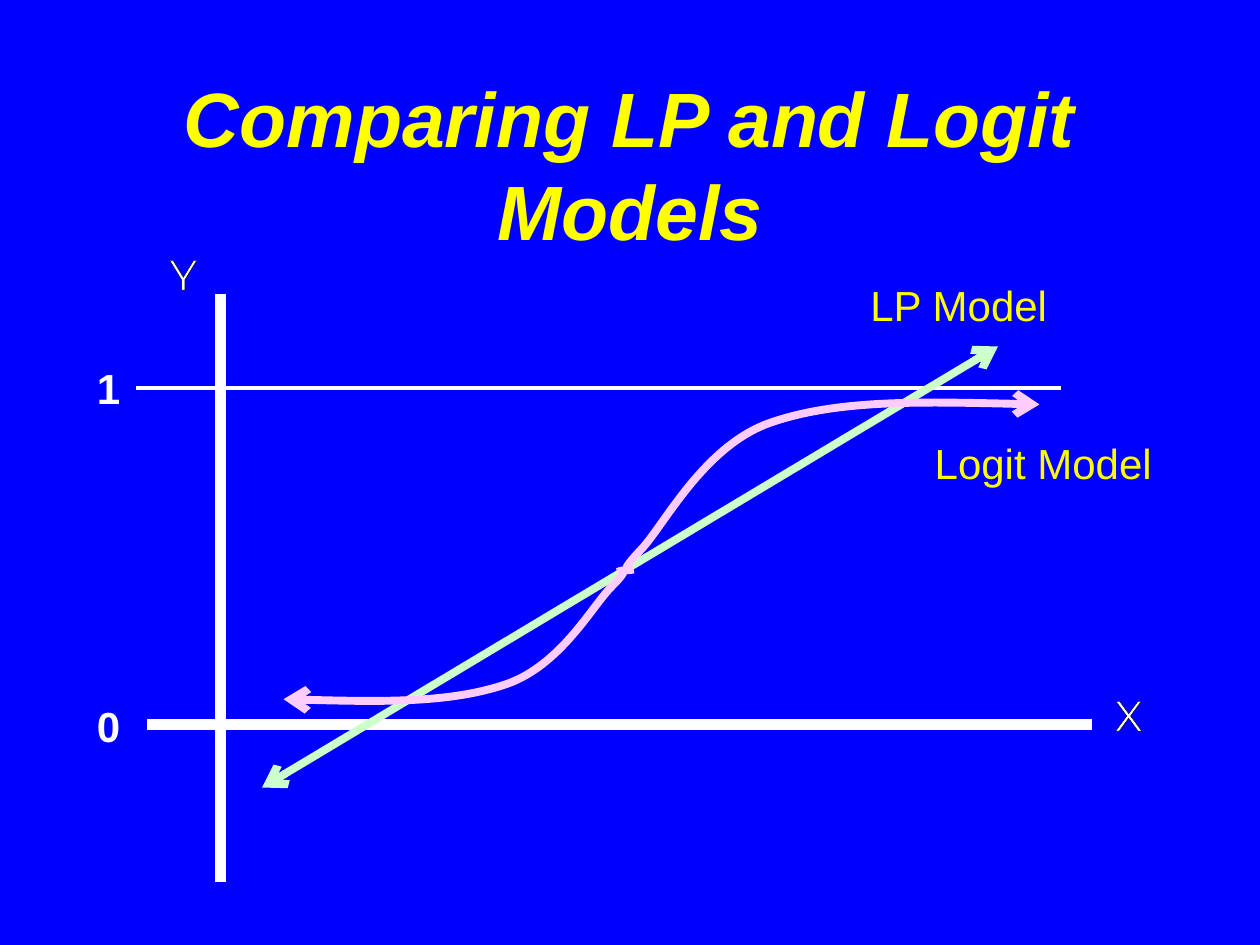
from dataclasses import dataclass

from lxml import etree
from pptx import Presentation
from pptx.dml.color import RGBColor
from pptx.enum.shapes import MSO_CONNECTOR
from pptx.enum.text import MSO_ANCHOR, MSO_AUTO_SIZE, PP_ALIGN
from pptx.oxml.ns import qn
from pptx.util import Inches, Pt

STRAIGHT = MSO_CONNECTOR.STRAIGHT
MIDDLE = MSO_ANCHOR.MIDDLE
CENTER = PP_ALIGN.CENTER
GROW = MSO_AUTO_SIZE.SHAPE_TO_FIT_TEXT
NO_FIT = MSO_AUTO_SIZE.NONE


@dataclass(frozen=True)
class Theme:
    background: str = "0000FF"
    title: str = "FFFF00"
    axis: str = "FFFFFF"
    lp: str = "CCFFCC"
    logit: str = "FFCCFF"
    outline: str = "000000"
    font: str = "Arial"
    axis_font: str = "Montserrat"
    title_size: int = 44
    label_size: int = 24
    axis_width: float = 6
    limit_width: float = 2.25
    model_width: float = 4.5


THEME = Theme()

# Each curve: start point, then control, control, end for every Bezier segment
LOGIT_CURVES = [
    [(8.25, 3.21), (7.44, 3.19), (6.63, 3.17), (6.1, 3.36),
     (5.58, 3.55), (5.27, 4.17), (5.09, 4.36),
     (4.91, 4.55), (4.97, 4.53), (5.03, 4.52)],
    [(2.25, 5.55), (2.92, 5.57), (3.58, 5.58), (4.02, 5.43),
     (4.45, 5.28), (4.7, 4.81), (4.85, 4.66),
     (5, 4.51), (4.95, 4.52), (4.9, 4.54)],
]


def style_line(line, color, width, arrows=()):
    line.color.rgb = RGBColor.from_string(color)
    line.width = Pt(width)
    ln = line._get_or_add_ln()
    for end in arrows:
        etree.SubElement(ln, qn(f"a:{end}"), type="arrow")


def add_line(shapes, start, end, color, width, arrows=()):
    c = shapes.add_connector(STRAIGHT, *map(Inches, start + end))
    style_line(c.line, color, width, arrows)
    etree.SubElement(c._element.spPr, qn("a:effectLst"))


def add_curve(shapes, points, color, width):
    start, *rest = [(Inches(x), Inches(y)) for x, y in points]
    fb = shapes.build_freeform(*start)
    fb.add_line_segments(rest, close=False)
    sp = fb.convert_to_shape()
    sp.shadow.inherit = False
    sp.fill.background()
    style_line(sp.line, color, width, ["headEnd"])
    # Join every three line points into one Bezier segment
    path = next(sp._element.iter(qn("a:path")))
    steps = path.findall(qn("a:lnTo"))
    for i in range(0, len(steps), 3):
        bezier = etree.SubElement(path, qn("a:cubicBezTo"))
        for step in steps[i:i + 3]:
            bezier.append(step[0])
            path.remove(step)


def add_text(shapes, text, box, color, size=THEME.label_size, font=THEME.font,
             bold=False, fit=GROW):
    sp = shapes.add_textbox(*map(Inches, box))
    tf = sp.text_frame
    tf.text = text
    tf.word_wrap = False
    tf.auto_size = fit
    r = tf.paragraphs[0].runs[0]
    r.font.name = font
    r.font.size = Pt(size)
    r.font.bold = bold
    r.font.color.rgb = RGBColor.from_string(color)
    return tf, r


def add_title(shapes, text):
    tf, r = add_text(shapes, text, (0.75, 0.67, 8.5, 1.25), THEME.title,
                     THEME.title_size, bold=True, fit=NO_FIT)
    tf.word_wrap = True
    tf.vertical_anchor = MIDDLE
    tf.paragraphs[0].alignment = CENTER
    r.font.italic = True


def add_axis_name(shapes, text, left, top):
    _, r = add_text(shapes, text, (left, top, 0.39, 0.71), THEME.axis,
                    font=THEME.axis_font, fit=NO_FIT)
    ln = etree.Element(qn("a:ln"), w=str(Pt(0.75)))
    fill = etree.SubElement(ln, qn("a:solidFill"))
    etree.SubElement(fill, qn("a:srgbClr"), val=THEME.outline)
    r.font._element.insert(0, ln)


def main():
    prs = Presentation()
    prs.slide_width, prs.slide_height = Inches(10), Inches(7.5)
    s = prs.slides.add_slide(prs.slide_layouts[6])
    s.background.fill.solid()
    s.background.fill.fore_color.rgb = RGBColor.from_string(THEME.background)
    shapes = s.shapes

    add_title(shapes, "Comparing LP and Logit Models")

    # Axes and the upper limit
    add_line(shapes, (1.75, 2.33), (1.75, 7), THEME.axis, THEME.axis_width)
    add_line(shapes, (1.17, 5.75), (8.67, 5.75), THEME.axis, THEME.axis_width)
    add_line(shapes, (1.08, 3.08), (8.42, 3.08), THEME.axis, THEME.limit_width)
    for value, top in (("0", 5.51), ("1", 2.83)):
        add_text(shapes, value, (0.67, top, 0.39, 0.5), THEME.axis, bold=True)

    # Linear probability model
    add_line(shapes, (2.08, 6.25), (7.92, 2.75), THEME.lp, THEME.model_width,
             ["headEnd", "tailEnd"])
    add_axis_name(shapes, "X", 8.75, 5.42)
    add_axis_name(shapes, "Y", 1.25, 1.92)
    add_text(shapes, "LP Model", (6.81, 2.17, 1.64, 0.5), THEME.title)

    # Logit model: two mirrored curves and their label
    logit = shapes.add_group_shape().shapes
    for points in LOGIT_CURVES:
        add_curve(logit, points, THEME.logit, THEME.model_width)
    add_text(logit, "Logit Model", (7.32, 3.42, 2.06, 0.5), THEME.title)

    prs.save("out.pptx")


if __name__ == "__main__":
    main()
